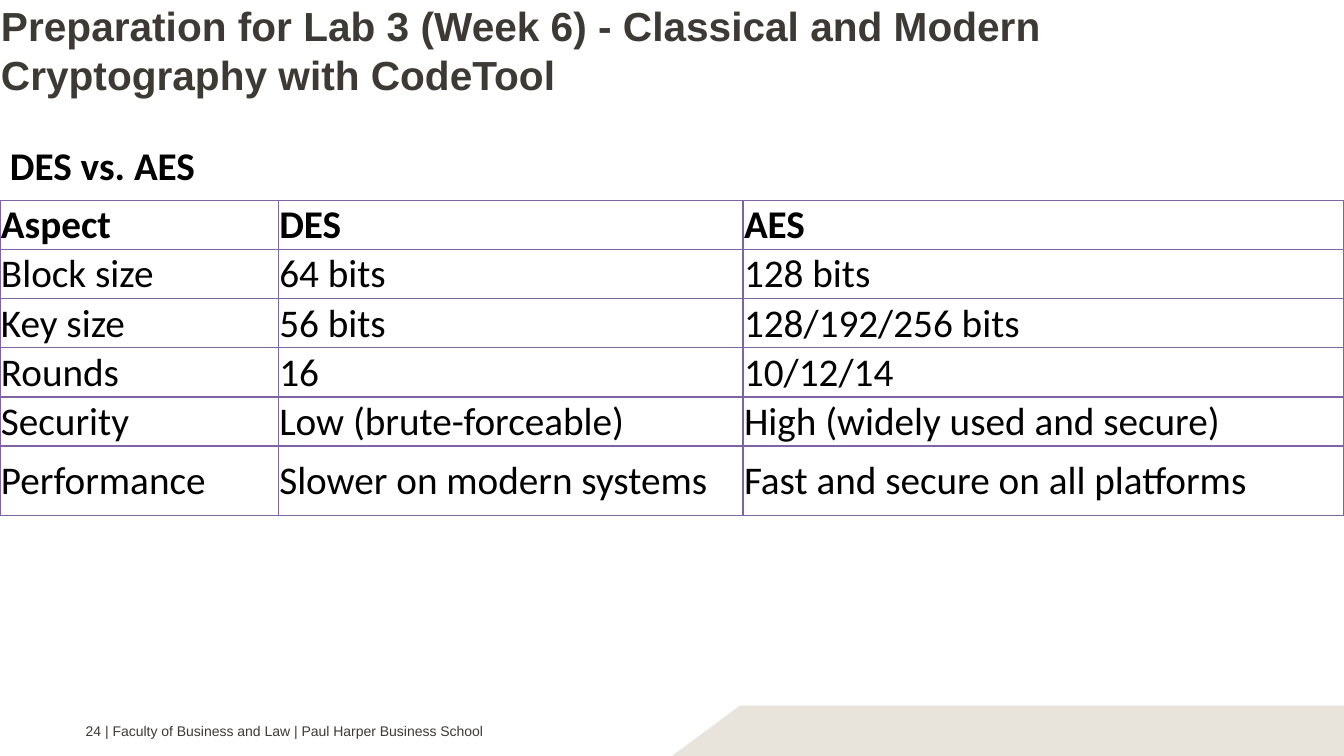
from lxml.etree import SubElement
from pptx import Presentation
from pptx.dml.color import RGBColor
from pptx.enum.text import MSO_ANCHOR, PP_ALIGN
from pptx.oxml.ns import qn
from pptx.util import Inches, Pt

BLACK = RGBColor(0x00, 0x00, 0x00)
WHITE = RGBColor(0xFF, 0xFF, 0xFF)
CHARCOAL = RGBColor(0x3D, 0x39, 0x35)
SAND = RGBColor(0xE8, 0xE3, 0xDB)
PURPLE = RGBColor(0x80, 0x64, 0xA2)

COL_WIDTHS = [2.76, 4.61, 5.96]
ROW_HEIGHTS = [0.48] * 5 + [0.69]
ROWS = [
    ("Aspect", "DES", "AES"),
    ("Block size", "64 bits", "128 bits"),
    ("Key size", "56 bits", "128/192/256 bits"),
    ("Rounds", "16", "10/12/14"),
    ("Security", "Low (brute-forceable)", "High (widely used and secure)"),
    ("Performance", "Slower on modern systems", "Fast and secure on all platforms"),
]


def write(tf, text, font, size, color, bold=False):
    """Fill a text frame with one left-aligned paragraph and return it."""
    tf.text = text
    tf.word_wrap = True
    p = tf.paragraphs[0]
    p.alignment = PP_ALIGN.LEFT
    f = p.runs[0].font
    f.name, f.size, f.bold = font, Pt(size), bold
    f.color.rgb = color
    return p


def set_borders(cell, color, width):
    tcPr = cell._tc.get_or_add_tcPr()
    for side in ("lnL", "lnR", "lnT", "lnB"):
        ln = SubElement(tcPr, qn(f"a:{side}"), w=str(Pt(width)))
        fill = SubElement(ln, qn("a:solidFill"))
        SubElement(fill, qn("a:srgbClr"), val=str(color))


prs = Presentation()
prs.slide_width, prs.slide_height = Inches(13.33), Inches(7.5)
W, H = prs.slide_width, prs.slide_height
s = prs.slides.add_slide(prs.slide_layouts[5])

# Footer band with a slanted left edge
band_top = H - Inches(0.5)
builder = s.shapes.build_freeform(W, band_top)
builder.add_line_segments([(Inches(7.34), band_top), (W // 2, H), (W, H)], close=True)
band = builder.convert_to_shape()
band.shadow.inherit = False
band.fill.solid()
band.fill.fore_color.rgb = SAND
band.line.fill.background()

# Title
title = s.shapes.title
title.left, title.top, title.width, title.height = 0, 0, Inches(11.34), Inches(0.99)
title.fill.solid()
title.fill.fore_color.rgb = WHITE
tf = title.text_frame
p = write(tf, "Preparation for Lab 3 (Week 6) - Classical and Modern Cryptography with CodeTool",
          "Arial", 29, CHARCOAL, bold=True)
p.space_before = Pt(1)
tf.vertical_anchor = MSO_ANCHOR.TOP
tf.margin_left = tf.margin_top = Inches(0.01)
tf.margin_right = tf.margin_bottom = 0

# Table heading
heading = s.shapes.add_textbox(0, Inches(1.12), W, Inches(0.73))
p = write(heading.text_frame, "DES vs. AES", "Calibri", 28, BLACK, bold=True)
p.line_spacing = 1.5

# Comparison table
frame = s.shapes.add_table(len(ROWS), len(COL_WIDTHS), 0, Inches(1.99), W, Inches(sum(ROW_HEIGHTS)))
table = frame.table
table.first_row = table.horz_banding = False
for col, width in zip(table.columns, COL_WIDTHS):
    col.width = Inches(width)
for r, (row, height) in enumerate(zip(table.rows, ROW_HEIGHTS)):
    row.height = Inches(height)
    for cell, text in zip(row.cells, ROWS[r]):
        write(cell.text_frame, text, "Calibri", 28, BLACK, bold=r == 0)
        cell.vertical_anchor = MSO_ANCHOR.MIDDLE
        cell.margin_left = cell.margin_right = Inches(0.01)
        cell.margin_top = cell.margin_bottom = Inches(0.01)
        set_borders(cell, PURPLE, 1)
        cell.fill.background()

# Footer
footer = s.shapes.add_textbox(Inches(0.81), Inches(7.17), Inches(5.44), Inches(0.17))
tf = footer.text_frame
write(tf, "24 | Faculty of Business and Law | Paul Harper Business School", "Arial", 10, CHARCOAL)
tf.margin_left = Inches(0.04)
tf.margin_top = tf.margin_right = tf.margin_bottom = 0

prs.save("out.pptx")
